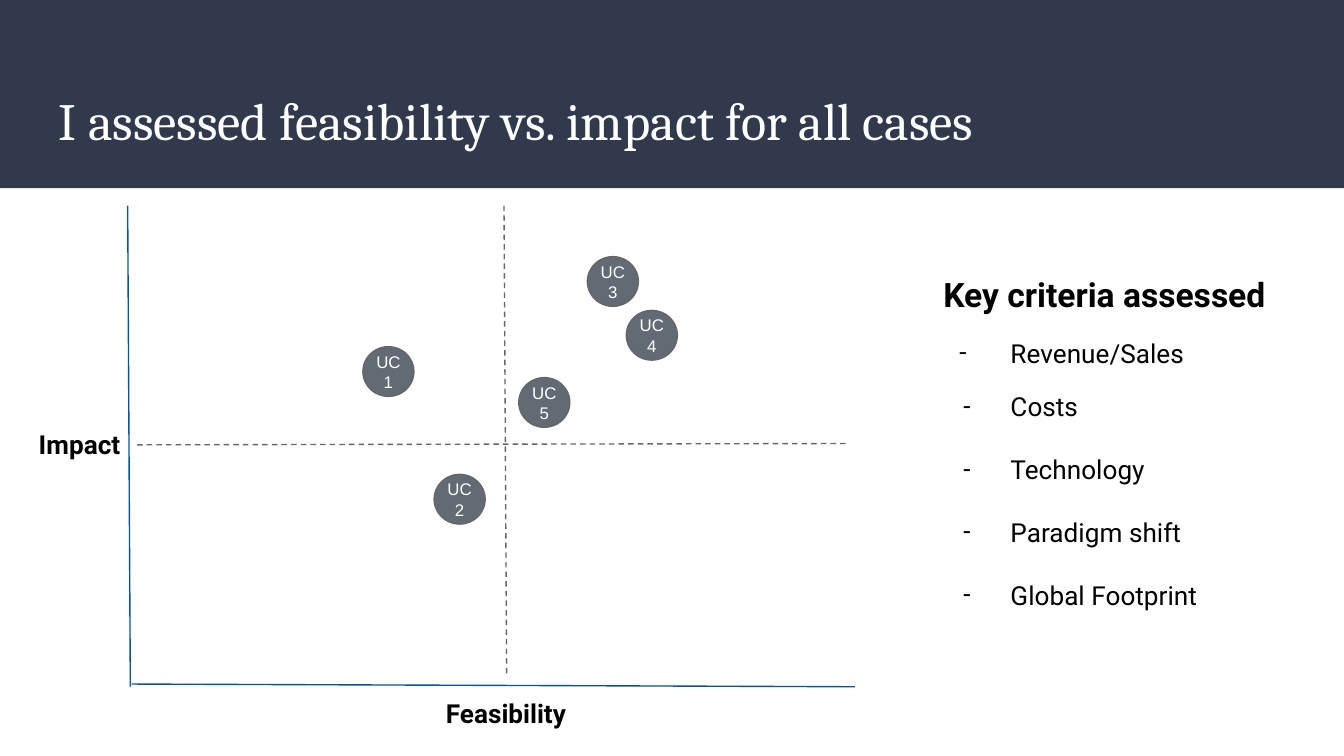
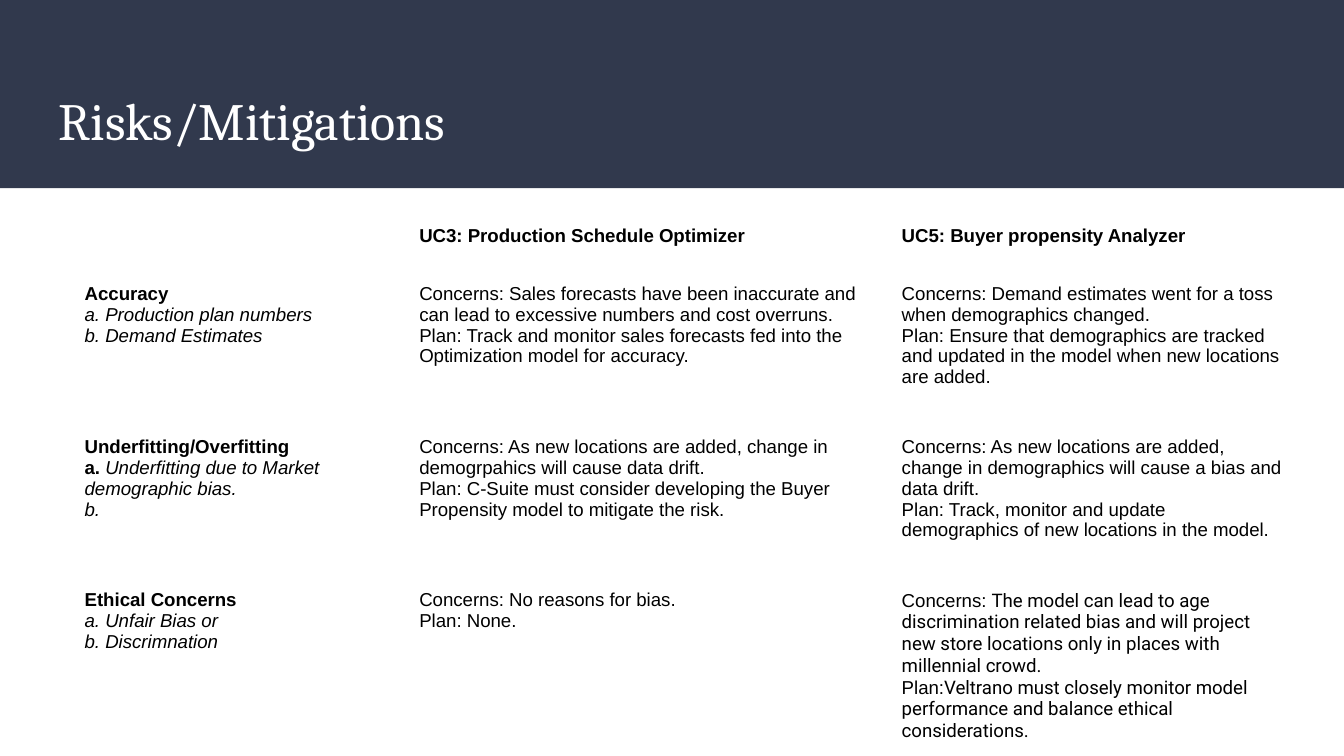
from collections import namedtuple

from lxml.etree import SubElement
from pptx import Presentation
from pptx.dml.color import RGBColor
from pptx.enum.dml import MSO_LINE
from pptx.enum.shapes import MSO_CONNECTOR, MSO_SHAPE
from pptx.enum.text import MSO_ANCHOR, PP_ALIGN
from pptx.oxml.ns import qn
from pptx.util import Inches, Pt

Box = namedtuple("Box", "left top width height")

# Shared look
NAVY, WHITE, BLACK = "31394D", "FFFFFF", "000000"
SLATE, GRAY, BLUE = "626B73", "666666", "0B5394"
SERIF, SANS, BODY = "Cambria", "Roboto", "Arial"
BAND = Box(0, 0, 10, 1.4)
TITLE = Box(0.34, 0.54, 9.32, 0.68)

# Use cases: number, then left and top within the matrix
USE_CASES = [(1, 1.75, 1.05), (2, 2.28, 2), (3, 3.42, 0.38), (5, 2.91, 1.28), (4, 3.71, 0.78)]
BUBBLE_WIDTH, BUBBLE_HEIGHT = 0.38, 0.37

# Criteria: text and the space before it in points
CRITERIA = [("Revenue/Sales", 12), ("Costs", 12), ("Technology", 16.8),
            ("Paradigm shift", 16.8), ("Global Footprint", 16.8)]

# Risk table: a cell is a list of paragraphs, a paragraph a list of (text, style)
# Styles: b bold, i italic, s sans
HEADINGS = ["", "UC3: Production Schedule Optimizer", "UC5: Buyer propensity Analyzer"]
RISKS = [
    [
        [[("Accuracy\n", "b"), ("a. Production plan numbers", "i")],
         [("b. Demand Estimates", "i")]],
        [[("Concerns: Sales forecasts have been inaccurate and can lead to "
           "excessive numbers and cost overruns.", "")],
         [("Plan: Track and monitor sales forecasts fed into the Optimization "
           "model for accuracy.", "")]],
        [[("Concerns: Demand estimates went for a toss when demographics changed.", "")],
         [("Plan: Ensure that demographics are tracked and updated in the model "
           "when new locations are added.", "")]],
    ],
    [
        [[("Underfitting/Overfitting\na. ", "b"),
          ("Underfitting due to Market demographic bias.", "i")],
         [("b.", "i")]],
        [[("Concerns: As new locations are added, change in demogrpahics will "
           "cause data drift.", "")],
         [("Plan: C-Suite must consider developing the Buyer Propensity model to "
           "mitigate the risk.", "")]],
        [[("Concerns: As new locations are added, change in demographics will "
           "cause a bias and data drift.", "")],
         [("Plan: Track, monitor and update demographics of new locations in the "
           "model.", "")]],
    ],
    [
        [[("Ethical Concerns\n", "b"), ("a. Unfair Bias or", "i")],
         [("b. Discrimnation", "i")]],
        [[("Concerns: No reasons for bias.", "")], [("Plan: None.", "")]],
        [[("Concerns: ", ""),
          ("The model can lead to age discrimination related bias and will project "
           "new store locations only in places with millennial crowd.", "s")],
         [("Plan:", ""),
          ("Veltrano must closely monitor model performance and balance ethical "
           "considerations.", "s")]],
    ],
]


def color(hex_code):
    return RGBColor.from_string(hex_code)


def set_font(font, name, size, hex_code=BLACK, bold=False):
    font.name, font.size, font.bold = name, Pt(size), bold
    font.color.rgb = color(hex_code)


def set_margins(holder, inset):
    margin = Inches(inset)
    holder.margin_left = holder.margin_right = margin
    holder.margin_top = holder.margin_bottom = margin


def place(box):
    return [Inches(length) for length in box]


def add_shape(slide, preset, box, fill, line=None):
    shape = slide.shapes.add_shape(preset, *place(box))
    shape.shadow.inherit = False
    shape.fill.solid()
    shape.fill.fore_color.rgb = color(fill)
    if line:
        shape.line.color.rgb = color(line)
        shape.line.width = Pt(0.75)
    else:
        shape.line.fill.background()
    return shape


def add_text(slide, box, text, name, size, hex_code=BLACK, bold=False,
             align=PP_ALIGN.LEFT, anchor=MSO_ANCHOR.TOP):
    frame = slide.shapes.add_textbox(*place(box)).text_frame
    frame.word_wrap = True
    frame.vertical_anchor = anchor
    set_margins(frame, 0.1)
    paragraph = frame.paragraphs[0]
    paragraph.text, paragraph.alignment = text, align
    set_font(paragraph.font, name, size, hex_code, bold)
    return frame


def add_line(slide, box, start, end, hex_code, dashed=False):
    """Draw a line between two points given relative to the box."""
    points = [Inches(base + offset) for point in (start, end)
              for base, offset in zip((box.left, box.top), point)]
    line = slide.shapes.add_connector(MSO_CONNECTOR.STRAIGHT, *points)
    line.line.color.rgb = color(hex_code)
    line.line.width = Pt(0.75)
    if dashed:
        line.line.dash_style = MSO_LINE.DASH
    SubElement(line._element.spPr, qn("a:effectLst"))


def add_titled_slide(prs, title):
    slide = prs.slides.add_slide(prs.slide_layouts[6])
    add_shape(slide, MSO_SHAPE.RECTANGLE, BAND, NAVY)
    add_text(slide, TITLE, title, SERIF, 28, WHITE, anchor=MSO_ANCHOR.BOTTOM)
    return slide


def add_matrix(slide, box):
    # Quadrant dividers
    add_line(slide, box, (2.8, 0), (2.82, 3.49), GRAY, dashed=True)
    add_line(slide, box, (0.07, 1.78), (5.36, 1.77), GRAY, dashed=True)

    # Use case bubbles
    for number, left, top in USE_CASES:
        bubble_box = Box(box.left + left, box.top + top, BUBBLE_WIDTH, BUBBLE_HEIGHT)
        bubble = add_shape(slide, MSO_SHAPE.OVAL, bubble_box, SLATE, GRAY)
        frame = bubble.text_frame
        set_margins(frame, 0)
        frame.vertical_anchor = MSO_ANCHOR.MIDDLE
        label = frame.paragraphs[0]
        label.text, label.alignment = f"UC\n{number}", PP_ALIGN.CENTER
        set_font(label.font, BODY, 9, WHITE)

    # Axes and their names
    add_line(slide, box, (0, 0), (0.02, box.height), BLUE)
    add_line(slide, box, (box.width, box.height), (0.03, box.height - 0.02), BLUE)
    add_text(slide, Box(box.left - 0.76, box.top + 1.56, 0.83, 0.45),
             "Impact", SANS, 14, bold=True)
    add_text(slide, Box(box.left + 0.28, box.top + 3.56, 5.07, 0.45),
             "Feasibility", SANS, 14, bold=True, align=PP_ALIGN.CENTER)


def add_criteria(slide, box):
    frame = add_text(slide, box, "Key criteria assessed", SANS, 18, bold=True)
    for index, (criterion, gap) in enumerate(CRITERIA):
        paragraph = frame.add_paragraph()
        paragraph.text = criterion
        paragraph.space_before = Pt(gap)
        set_font(paragraph.font, SANS, 14)
        # Dash bullet with a hanging indent
        properties = paragraph._p.get_or_add_pPr()
        properties.set("marL", str(Inches(0.5)))
        properties.set("indent", str(Inches(-0.35 if index else -0.38)))
        defaults = properties.find(qn("a:defRPr"))
        for tag, name, value in (("a:buSzPts", "val", "1400"),
                                 ("a:buFont", "typeface", SANS),
                                 ("a:buChar", "char", "-")):
            defaults.addprevious(properties.makeelement(qn(tag), {name: value}))


def fill_cell(cell, paragraphs):
    cell.fill.background()
    set_margins(cell, 0.1)
    frame = cell.text_frame
    for index, runs in enumerate(paragraphs):
        paragraph = frame.add_paragraph() if index else frame.paragraphs[0]
        set_font(paragraph.font, BODY, 10)
        for text, style in runs:
            # A line break inside a run becomes a:br
            for part, piece in enumerate(text.split("\n")):
                if part:
                    paragraph.add_line_break()
                if piece:
                    run = paragraph.add_run()
                    run.text = piece
                    set_font(run.font, SANS if "s" in style else BODY, 10, bold="b" in style)
                    run.font.italic = "i" in style


def add_risk_table(slide, box):
    rows = [[[[(heading, "b")]] for heading in HEADINGS]] + RISKS
    table = slide.shapes.add_table(len(rows), len(HEADINGS), *place(box)).table
    table.first_row = table.horz_banding = False
    for column, width in zip(table.columns, (2.49, 3.59, 3.04)):
        column.width = Inches(width)
    for index, (row, cells) in enumerate(zip(table.rows, rows)):
        row.height = Inches(1.14 if index else 0.43)
        for cell, paragraphs in zip(row.cells, cells):
            fill_cell(cell, paragraphs)


def main():
    prs = Presentation()
    prs.slide_width = Inches(10)
    prs.slide_height = Inches(10 * 9 / 16)

    assessment = add_titled_slide(prs, "I assessed feasibility vs. impact for all cases")
    add_matrix(assessment, Box(0.95, 1.53, 5.41, 3.58))
    add_criteria(assessment, Box(6.92, 1.94, 3.19, 2.71))

    risks = add_titled_slide(prs, "Risks/Mitigations")
    add_risk_table(risks, Box(0.53, 1.58, 9.12, 3.85))

    prs.save("out.pptx")


if __name__ == "__main__":
    main()
